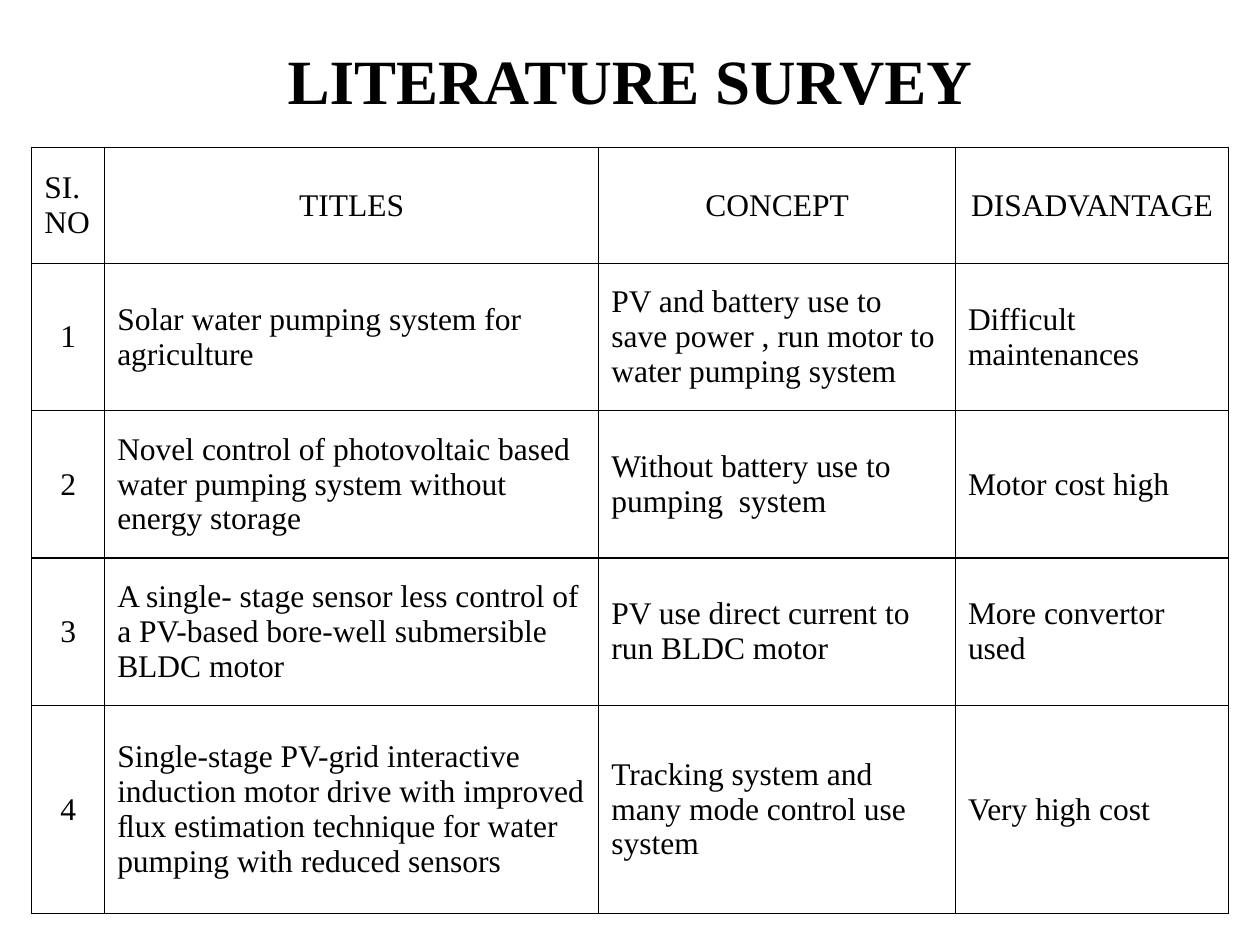
from lxml import etree
from pptx import Presentation
from pptx.dml.color import RGBColor
from pptx.enum.text import MSO_ANCHOR, PP_ALIGN
from pptx.util import Cm, Pt

MIDDLE = MSO_ANCHOR.MIDDLE
LEFT, CENTER = PP_ALIGN.LEFT, PP_ALIGN.CENTER
INK, PAPER = "000000", "FFFFFF"
FONT = "Times New Roman"
NS = "http://schemas.openxmlformats.org/drawingml/2006/main"
COLS = [1.47, 9.96, 7.19, 5.51]
ROWS = [2.34, 2.97, 2.97, 2.97, 4.19]
HEADS = ["SI.NO", "TITLES", "CONCEPT", "DISADVANTAGE"]
STUDIES = [
    ["Solar water pumping system for agriculture",
     "PV and battery use to save power , run motor to water pumping system",
     "Difficult maintenances"],
    ["Novel control of photovoltaic based water pumping system without energy storage",
     "Without battery use to pumping  system",
     "Motor cost high"],
    ["A single- stage sensor less control of a PV-based bore-well submersible BLDC motor",
     "PV use direct current to run BLDC motor ",
     "More convertor  used"],
    ["Single-stage PV-grid interactive induction motor drive with improved "
     "\ufb02ux estimation technique for water pumping with reduced sensors",
     "Tracking system and many mode control use system",
     "Very high cost"],
]


def paint(target, color):
    """Set a colour format from a hex string."""
    target.rgb = RGBColor.from_string(color)


def write(frame, text, align, **form):
    """Put one formatted paragraph in a text frame."""
    para = frame.paragraphs[0]
    para.alignment = align
    run = para.add_run()
    run.text = text
    for key, value in {"name": FONT, **form}.items():
        setattr(run.font, key, value)
    paint(run.font.color, INK)


def border(cell):
    """Draw a thin line on all four sides of a cell."""
    props = cell._tc.get_or_add_tcPr()
    for spot, side in enumerate(("lnL", "lnR", "lnT", "lnB")):
        line = etree.Element(f"{{{NS}}}{side}", w=str(Pt(1)))
        fill = etree.SubElement(line, f"{{{NS}}}solidFill")
        etree.SubElement(fill, f"{{{NS}}}srgbClr", val=INK)
        props.insert(spot, line)


def add_title(slide, text):
    """Place and format the slide title."""
    title = slide.shapes.title
    box = {"left": 1.27, "top": 0, "width": 22.86, "height": 3.18}
    for key, value in box.items():
        setattr(title, key, Cm(value))
    title.text_frame.vertical_anchor = MIDDLE
    write(title.text_frame, text, CENTER, size=Pt(36), bold=True)


def add_grid(slide, rows):
    """Add the survey table with plain bordered cells."""
    frame = slide.shapes.add_table(len(rows), len(COLS), Cm(0.64), Cm(2.97),
                                   Cm(sum(COLS)), Cm(sum(ROWS)))
    grid = frame.table
    grid.first_row = grid.horz_banding = False
    for col, width in zip(grid.columns, COLS):
        col.width = Cm(width)
    for row, height in zip(grid.rows, ROWS):
        row.height = Cm(height)
    for r, texts in enumerate(rows):
        for c, text in enumerate(texts):
            cell = grid.cell(r, c)
            cell.vertical_anchor = MIDDLE
            cell.fill.solid()
            paint(cell.fill.fore_color, PAPER)
            border(cell)
            align = CENTER if (r == 0) != (c == 0) else LEFT
            write(cell.text_frame, text, align, size=Pt(18))


def main():
    """Build and save the slide."""
    deck = Presentation()
    deck.slide_width, deck.slide_height = Cm(25.4), Cm(19.05)
    slide = deck.slides.add_slide(deck.slide_layouts[5])
    add_title(slide, "LITERATURE SURVEY")
    add_grid(slide, [HEADS] + [[str(n), *study] for n, study in enumerate(STUDIES, 1)])
    deck.save("out.pptx")


main()
